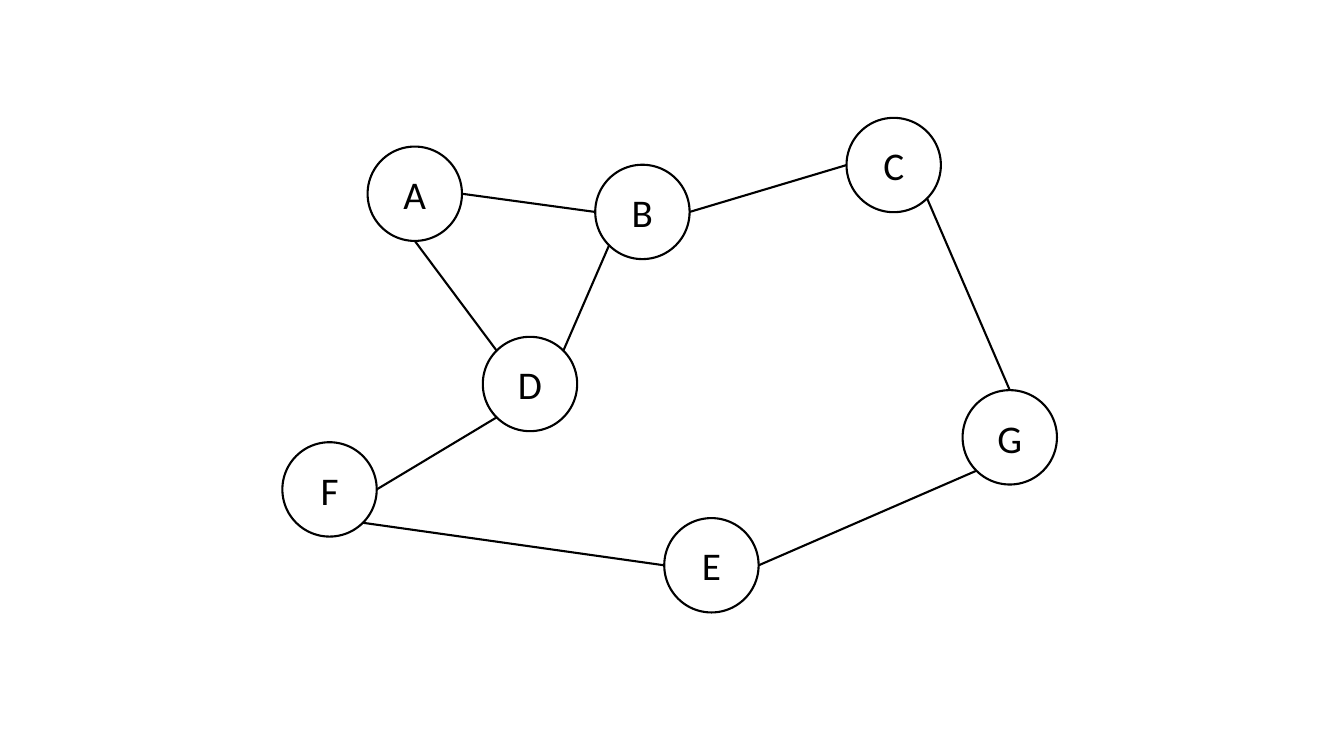
from math import cos, pi, sin

from lxml.etree import SubElement
from pptx import Presentation
from pptx.dml.color import RGBColor
from pptx.enum.shapes import MSO_CONNECTOR as Connector, MSO_SHAPE as Preset
from pptx.enum.text import MSO_ANCHOR as Anchor, PP_ALIGN as Align
from pptx.oxml.ns import qn
from pptx.util import Pt

BLACK = RGBColor(0, 0, 0)
DIAMETER = 67.4

# Centre of each vertex, in points
VERTICES = {
    "A": (296.3, 138.4),
    "B": (458.9, 151.4),
    "D": (378.6, 274.3),
    "F": (235.4, 349.6),
    "E": (508.2, 403.8),
    "C": (638.4, 117.9),
    "G": (721.3, 312.4),
}

# Connection sites of an ellipse, counter-clockwise from the top
TOP, TOP_LEFT, LEFT, BOTTOM_LEFT, BOTTOM, BOTTOM_RIGHT, RIGHT, TOP_RIGHT = range(8)

EDGES = [
    ("A", RIGHT, "B", LEFT),
    ("A", BOTTOM, "D", TOP_LEFT),
    ("B", RIGHT, "C", LEFT),
    ("D", TOP_RIGHT, "B", BOTTOM_LEFT),
    ("D", BOTTOM_LEFT, "F", RIGHT),
    ("F", BOTTOM_RIGHT, "E", LEFT),
    ("E", RIGHT, "G", BOTTOM_LEFT),
    ("G", TOP, "C", BOTTOM_RIGHT),
]


def site_point(label, site):
    """Return the point of a connection site on a vertex."""
    x, y = VERTICES[label]
    angle = site * pi / 4
    radius = DIAMETER / 2
    return Pt(x - radius * sin(angle)), Pt(y - radius * cos(angle))


class GraphPainter:
    """Draws vertices and edges in one style on one slide."""

    font_name = "Calibri"
    font_size = Pt(28)
    line_width = Pt(1.5)

    def __init__(self, slide):
        """Keep the slide and the circles drawn on it."""
        self.shapes = slide.shapes
        self.circles = {}

    def outline(self, line):
        """Apply the common line style."""
        line.color.rgb = BLACK
        line.width = self.line_width

    def vertex(self, label, x, y):
        """Draw a labelled circle around a centre."""
        radius = DIAMETER / 2
        circle = self.shapes.add_shape(
            Preset.OVAL, Pt(x - radius), Pt(y - radius), Pt(DIAMETER), Pt(DIAMETER))
        circle.shadow.inherit = False
        circle.fill.background()
        self.outline(circle.line)
        frame = circle.text_frame
        frame.margin_left = frame.margin_right = 0
        frame.margin_top = frame.margin_bottom = 0
        frame.vertical_anchor = Anchor.MIDDLE
        paragraph = frame.paragraphs[0]
        paragraph.text = label
        paragraph.alignment = Align.CENTER
        paragraph.font.name = self.font_name
        paragraph.font.size = self.font_size
        paragraph.font.color.rgb = BLACK
        self.circles[label] = circle

    def edge(self, start, start_site, end, end_site):
        """Draw a line attached to the sites of two vertices."""
        edge = self.shapes.add_connector(
            Connector.STRAIGHT, *site_point(start, start_site), *site_point(end, end_site))
        self.outline(edge.line)
        SubElement(edge._element.spPr, qn("a:effectLst"))
        links = edge._element.nvCxnSpPr.cNvCxnSpPr
        for tag, label, site in (("a:stCxn", start, start_site), ("a:endCxn", end, end_site)):
            SubElement(links, qn(tag), id=str(self.circles[label].shape_id), idx=str(site))


def main():
    """Build the graph slide."""
    presentation = Presentation()
    presentation.slide_width = Pt(960)
    presentation.slide_height = Pt(540)
    painter = GraphPainter(presentation.slides.add_slide(presentation.slide_layouts[6]))
    for label, centre in VERTICES.items():
        painter.vertex(label, *centre)
    for ends in EDGES:
        painter.edge(*ends)
    presentation.save("out.pptx")


main()
